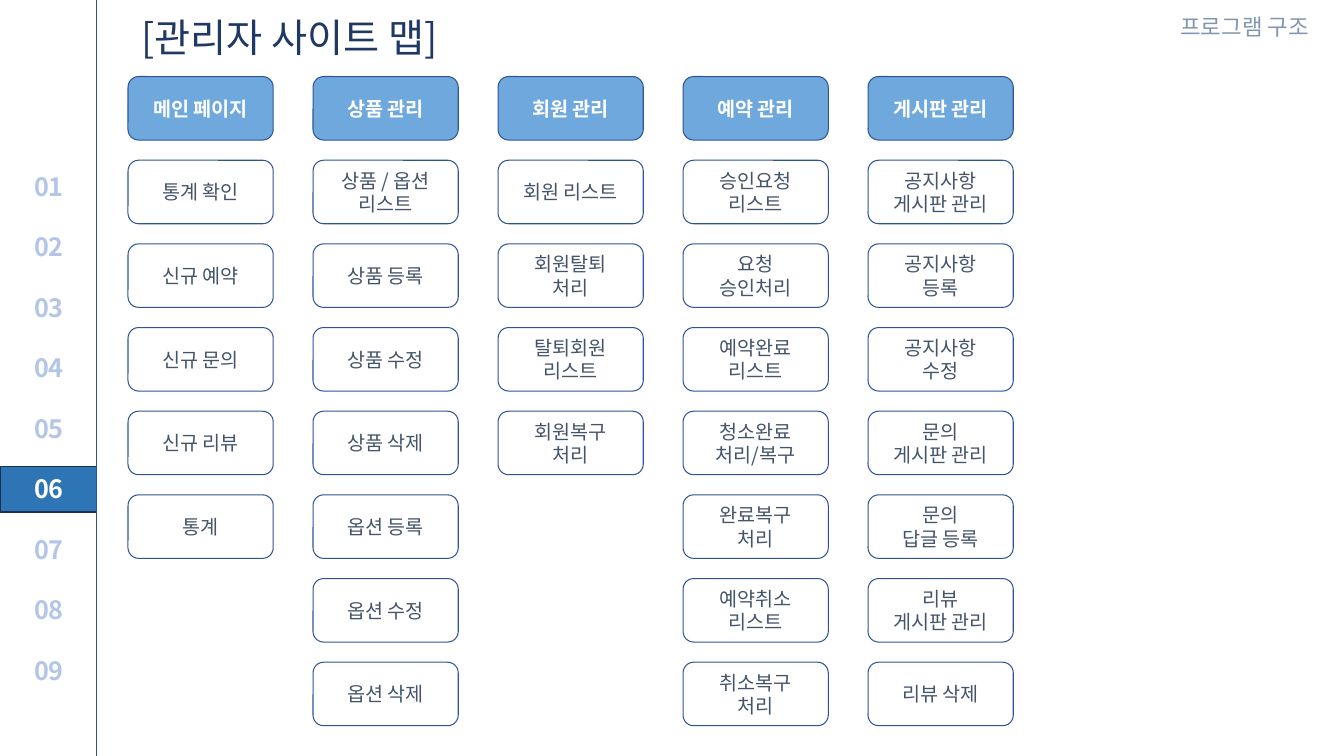
"""Build the administrator site map slide."""
from lxml.etree import SubElement
from pptx import Presentation
from pptx.dml.color import RGBColor
from pptx.enum.shapes import MSO_CONNECTOR as Connector, MSO_SHAPE as Shape
from pptx.enum.text import MSO_ANCHOR as Anchor, PP_ALIGN as Align
from pptx.oxml.ns import qn
from pptx.util import Inches, Pt

TITLE = "[관리자 사이트 맵]"
SECTION = "프로그램 구조"
CHAPTERS = [f"{number:02}" for number in range(1, 10)]
CURRENT = "06"
SITE_MAP = {
    "메인 페이지": ["통계 확인", "신규 예약", "신규 문의", "신규 리뷰", "통계"],
    "상품 관리": ["상품 / 옵션\n리스트", "상품 등록", "상품 수정", "상품 삭제",
              "옵션 등록", "옵션 수정", "옵션 삭제"],
    "회원 관리": ["회원 리스트", "회원탈퇴\n처리", "탈퇴회원\n리스트", "회원복구\n처리"],
    "예약 관리": ["승인요청\n리스트", "요청\n승인처리", "예약완료\n리스트",
              "청소완료\n처리/복구", "완료복구\n처리", "예약취소\n리스트", "취소복구\n처리"],
    "게시판 관리": ["공지사항\n게시판 관리", "공지사항\n등록", "공지사항\n수정",
               "문의\n게시판 관리", "문의\n답글 등록", "리뷰\n게시판 관리", "리뷰 삭제"],
}
FONT = "Noto Sans CJK KR"
NAVY, WHITE = "2F5496", "FFFFFF"
MAP_LEFT, MAP_TOP = 1.27, 0.76
COLUMN_STEP, ROW_STEP = 1.835, 0.83
CARD_WIDTH, CARD_HEIGHT = 1.44, 0.63
SIDEBAR_WIDTH = 0.96


def rgb(value):
    return RGBColor.from_string(value)


def inches(*lengths):
    return [Inches(length) for length in lengths]


def style(paragraph, size, color, bold=False, align=Align.LEFT, spacing=None):
    paragraph.alignment = align
    paragraph.line_spacing = Pt(spacing or size * 1.2)
    font = paragraph.font
    font.name, font.size, font.bold = FONT, Pt(size), bold
    font.color.rgb = rgb(color)
    defaults = paragraph._p.pPr.find(qn("a:defRPr"))
    SubElement(defaults, qn("a:ea")).set("typeface", FONT)


def add_box(slide, preset, place, fill, line, width):
    box = slide.shapes.add_shape(preset, *inches(*place))
    box.shadow.inherit = False
    box.fill.solid()
    box.fill.fore_color.rgb = rgb(fill)
    box.line.color.rgb = rgb(line)
    box.line.width = Pt(width)
    return box


def add_sidebar(slide):
    add_box(slide, Shape.RECTANGLE, (0, 4.63, SIDEBAR_WIDTH, 0.45), "2E75B5", "1C3052", 1)
    divider = slide.shapes.add_connector(
        Connector.STRAIGHT, *inches(SIDEBAR_WIDTH, 0, SIDEBAR_WIDTH, 7.5))
    divider.line.color.rgb = rgb(NAVY)
    divider.line.width = Pt(0.75)
    SubElement(divider._element.spPr, qn("a:effectLst"))
    chapters = slide.shapes.add_textbox(*inches(0.24, 1.35, 0.63, 5.55)).text_frame
    chapters.word_wrap = True
    chapters.text = "\n".join(CHAPTERS)
    for paragraph in chapters.paragraphs:
        color = WHITE if paragraph.text == CURRENT else "B3C6E7"
        style(paragraph, 18, color, bold=True, spacing=43.2)


def add_headings(slide):
    title = slide.shapes.title
    title.left, title.top, title.width, title.height = inches(1.3, 0.08, 3.47, 1.18)
    title.text_frame.text = TITLE
    title.text_frame.vertical_anchor = Anchor.TOP
    style(title.text_frame.paragraphs[0], 28, "1F3864")
    section = slide.shapes.add_textbox(*inches(11.61, 0.08, 1.63, 0.37)).text_frame
    section.word_wrap = True
    section.text = SECTION
    style(section.paragraphs[0], 16, "8296B0")


def add_card(slide, column, row, label):
    is_header = row == 0
    place = (MAP_LEFT + column * COLUMN_STEP, MAP_TOP + row * ROW_STEP,
             CARD_WIDTH, CARD_HEIGHT)
    card = add_box(slide, Shape.ROUNDED_RECTANGLE, place,
                   "6FA8DC" if is_header else WHITE, NAVY, 0.75)
    frame = card.text_frame
    frame.margin_left = frame.margin_right = Inches(0.13)
    frame.margin_top = frame.margin_bottom = Inches(0.13)
    frame.vertical_anchor = Anchor.MIDDLE
    frame.text = label
    for paragraph in frame.paragraphs:
        style(paragraph, 14, WHITE if is_header else "44546A", is_header, Align.CENTER)


def main():
    deck = Presentation()
    deck.slide_width, deck.slide_height = inches(13.33, 7.5)
    slide = deck.slides.add_slide(deck.slide_layouts[5])
    add_sidebar(slide)
    add_headings(slide)
    for column, (menu, pages) in enumerate(SITE_MAP.items()):
        for row, label in enumerate([menu, *pages]):
            add_card(slide, column, row, label)
    deck.save("out.pptx")


if __name__ == "__main__":
    main()
